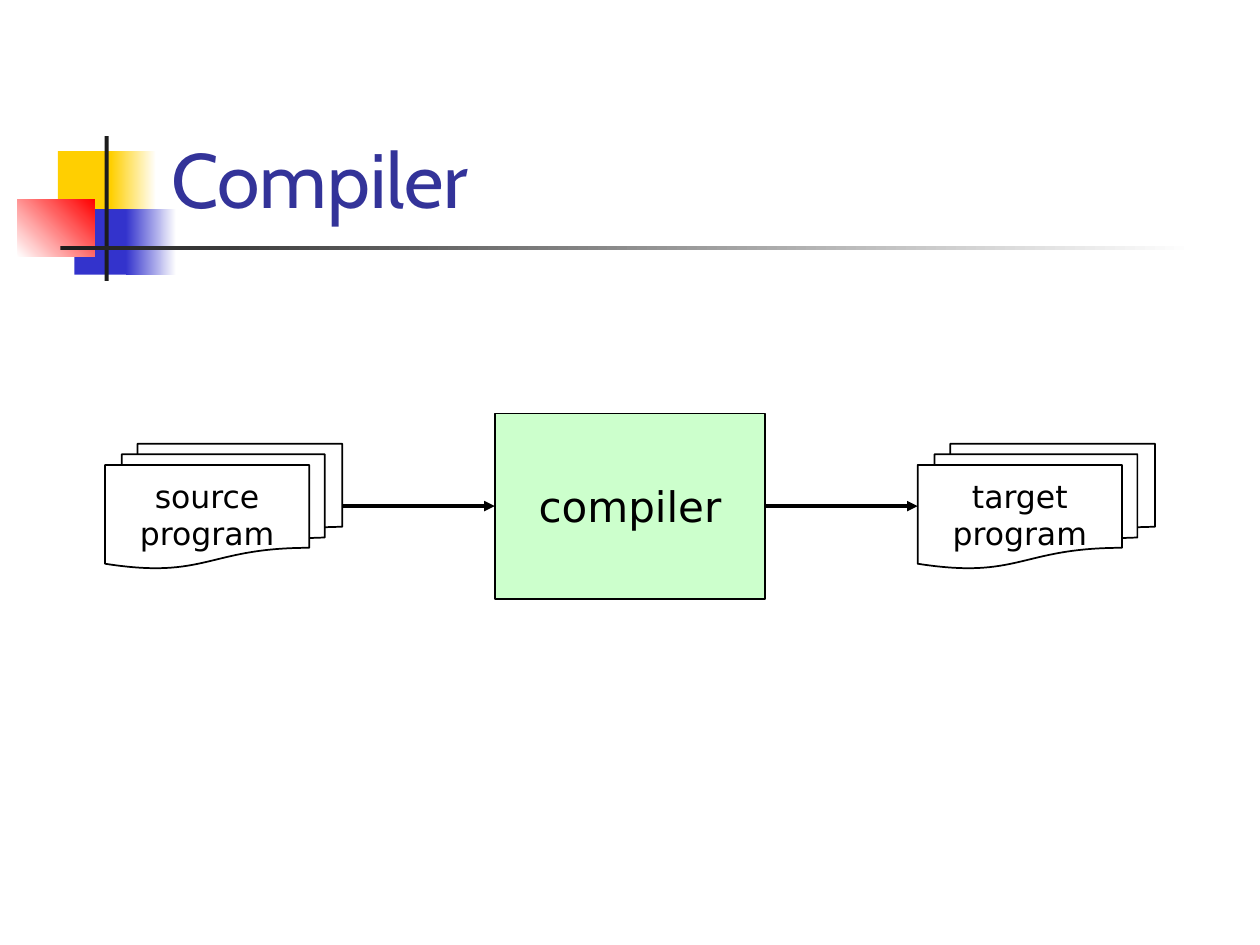
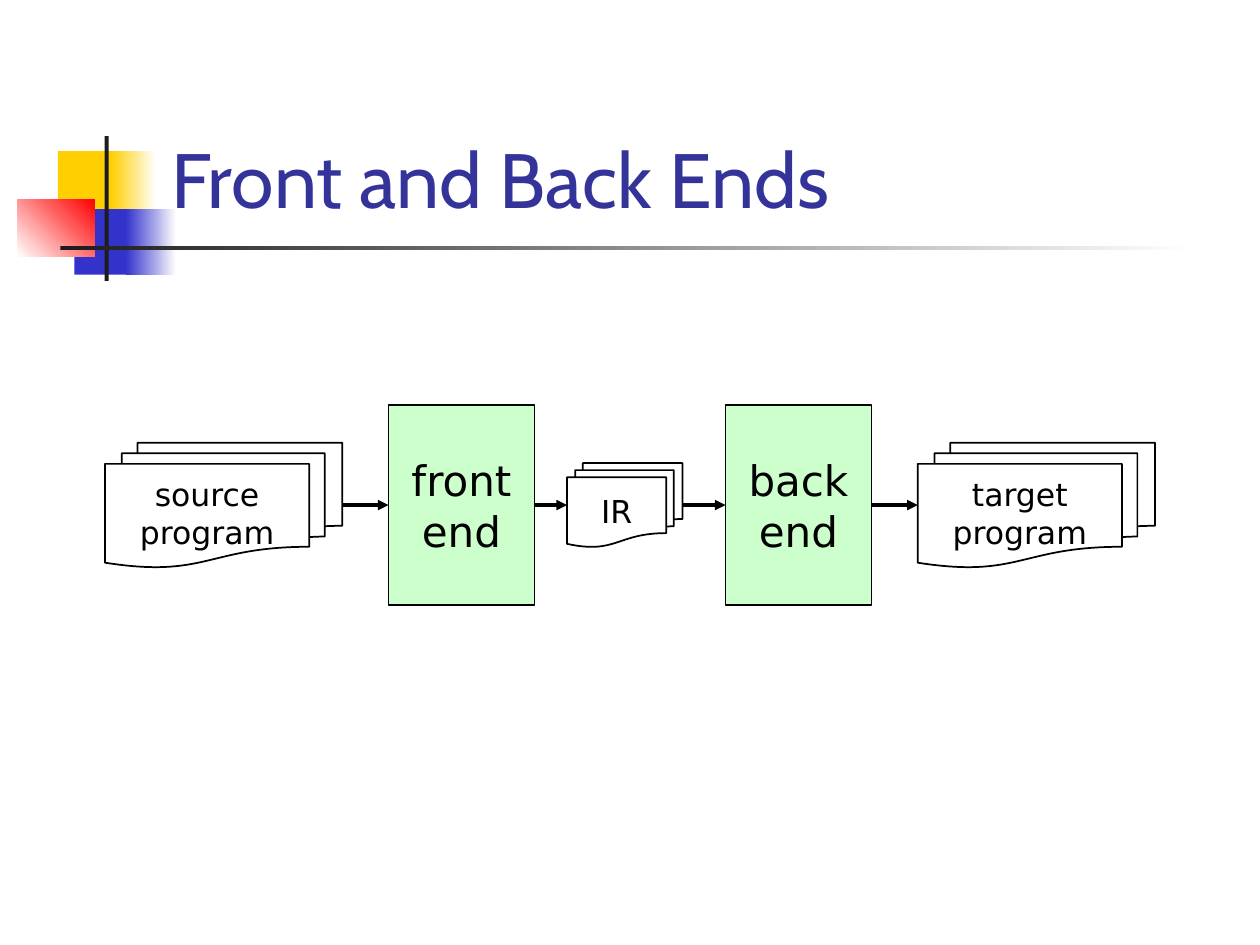
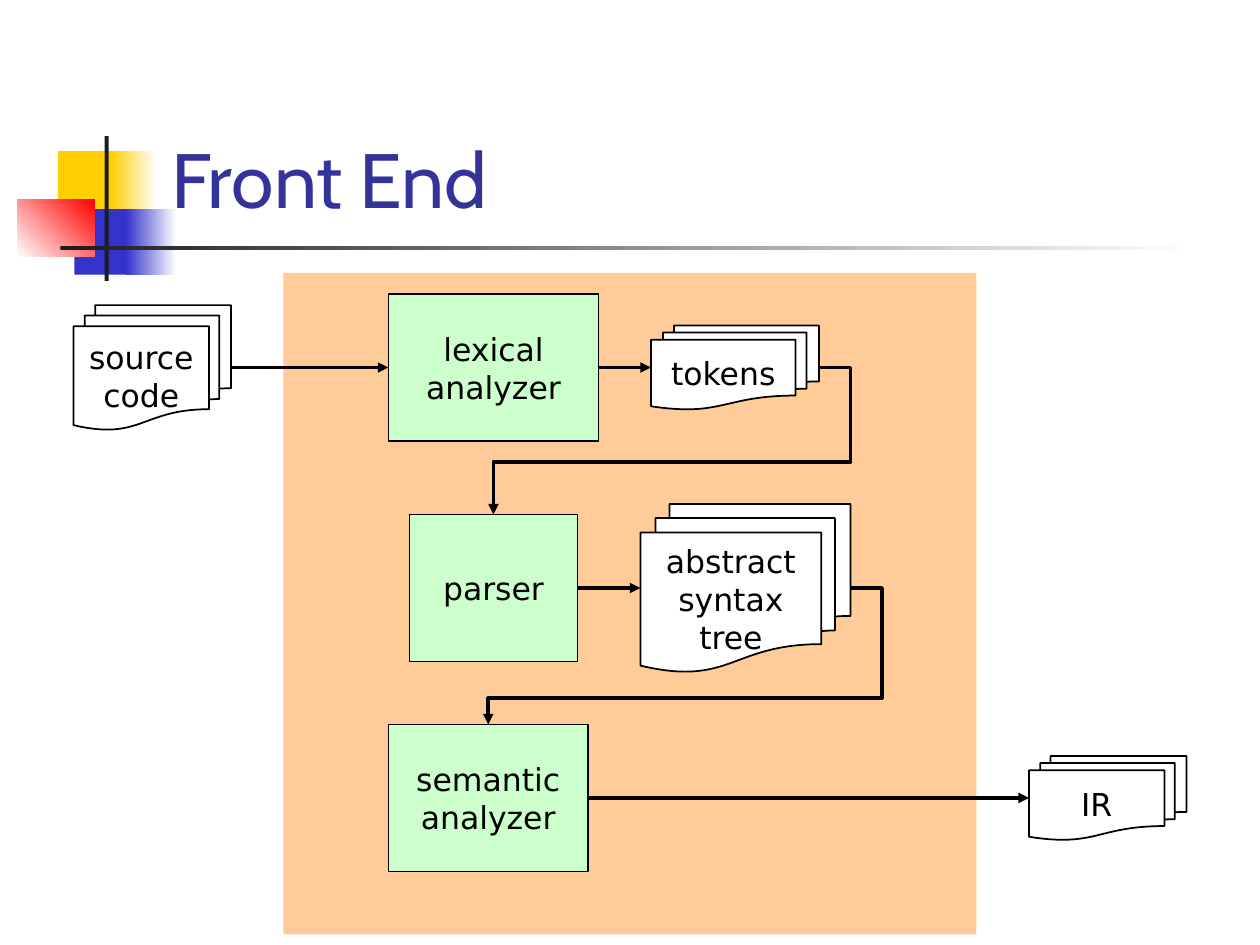
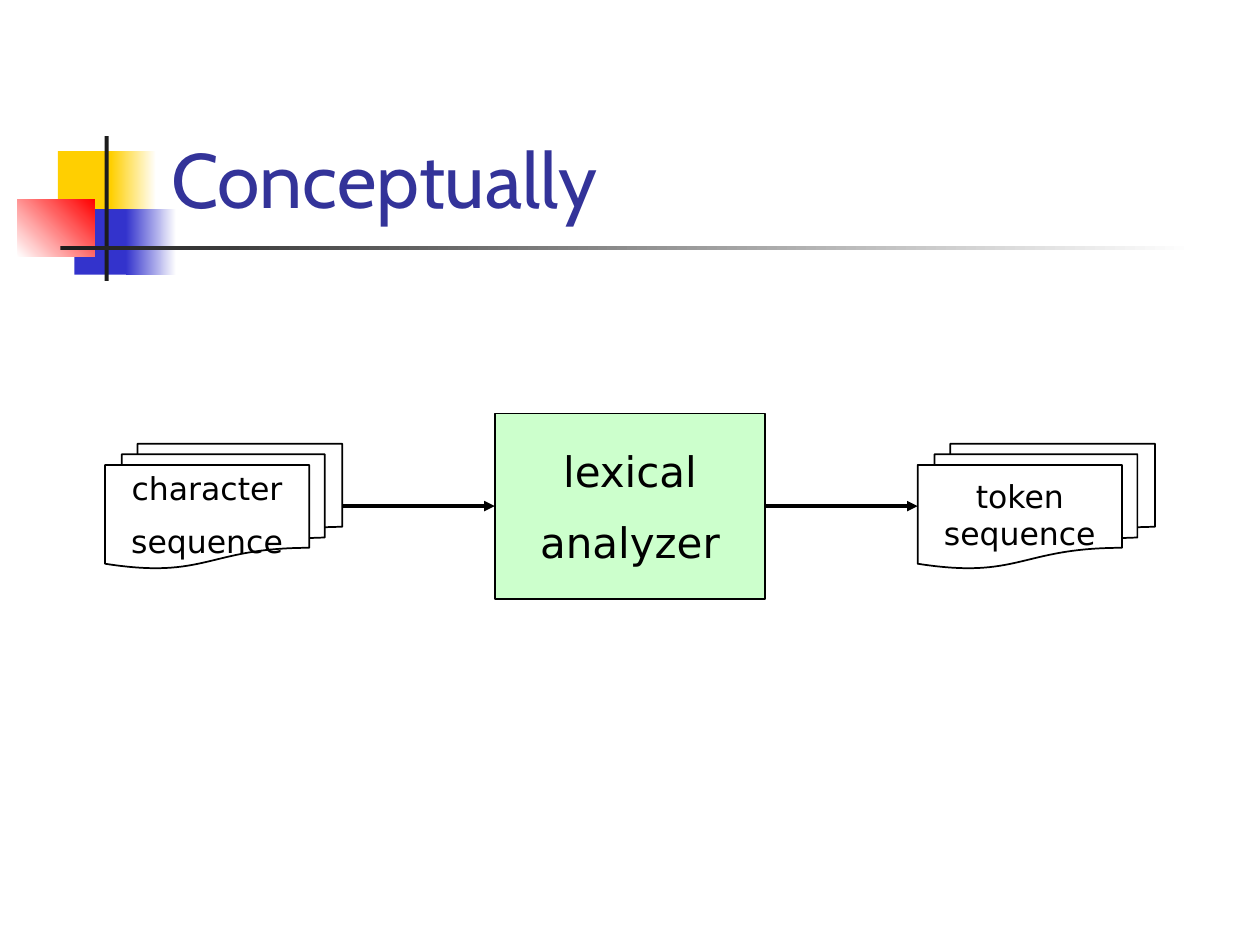
"""Build four slides on the structure of a compiler."""
from dataclasses import dataclass
from typing import Any, NamedTuple, Optional

from lxml.etree import SubElement
from pptx import Presentation
from pptx.dml.color import RGBColor as Rgb
from pptx.enum.shapes import MSO_CONNECTOR as Wire, MSO_SHAPE as Preset
from pptx.enum.text import MSO_ANCHOR as Anchor, PP_ALIGN as Align
from pptx.oxml.ns import qn
from pptx.util import Inches, Pt

COLUMNS, ROWS = 120, 90
WIDTH, HEIGHT = Inches(10), Inches(7.5)


@dataclass(frozen=True)
class Theme:
    """Colours, fonts and sizes that all slides share."""
    title: Rgb = Rgb.from_string("333399")
    ink: Rgb = Rgb.from_string("000000")
    paper: Rgb = Rgb.from_string("FFFFFF")
    bar: Rgb = Rgb.from_string("1C1C1C")
    yellow: Rgb = Rgb.from_string("FFCF01")
    blue: Rgb = Rgb.from_string("3333CC")
    red: Rgb = Rgb.from_string("FF0000")
    stage: Rgb = Rgb.from_string("CCFFCC")
    backdrop: Rgb = Rgb.from_string("FFCC99")
    title_font: str = "Cabin"
    body_font: str = "DejaVu Sans"
    title_size: int = 44
    large: int = 24
    normal: int = 18
    outline: float = 1
    arrow: float = 2


THEME = Theme()


class Area(NamedTuple):
    """A rectangle in grid columns and rows."""
    left: float
    top: float
    width: float
    height: float

    @property
    def right(self) -> float:
        """Return the right edge."""
        return self.left + self.width

    @property
    def center(self) -> float:
        """Return the horizontal centre."""
        return self.left + self.width / 2

    @property
    def middle(self) -> float:
        """Return the vertical centre."""
        return self.top + self.height / 2


@dataclass(frozen=True)
class Block:
    """A plain rectangle, fading to a second colour if there is one."""
    area: Area
    color: Rgb
    fade: Optional[Rgb] = None
    angle: float = 0


@dataclass(frozen=True)
class Node:
    """A labelled shape of a diagram."""
    label: str
    area: Area
    preset: Preset
    fill: Optional[Rgb]
    size: int


@dataclass(frozen=True)
class Link:
    """An arrow between two nodes, bent by way of a shelf row if given."""
    start: str
    end: str
    shelf: Optional[float] = None


@dataclass(frozen=True)
class Diagram:
    """The content of one slide."""
    title: str
    nodes: list[Node]
    links: list[Link]
    backdrop: Optional[Block] = None


DETOUR = 3
TITLE_AREA = Area(15.12, 2.76, 102.24, 19.2)
ORNAMENT = [
    Block(Area(5.52, 14.4, 5.76, 6.24), THEME.yellow),
    Block(Area(10.56, 14.4, 4.32, 6.24), THEME.yellow, THEME.paper),
    Block(Area(7.08, 19.92, 5.52, 6.24), THEME.blue),
    Block(Area(12, 19.92, 4.8, 6.24), THEME.blue, THEME.paper),
    Block(Area(1.68, 18.96, 7.32, 5.52), THEME.paper, THEME.red, 45),
    Block(Area(9.96, 12.96, 0.4, 13.8), THEME.bar),
    Block(Area(5.76, 23.4, 108, 0.4), THEME.bar, THEME.paper),
]


def column(count: float) -> int:
    """Turn grid columns into a length."""
    return round(WIDTH * count / COLUMNS)


def row(count: float) -> int:
    """Turn grid rows into a length."""
    return round(HEIGHT * count / ROWS)


def place(area: Area) -> tuple[int, int, int, int]:
    """Turn an area into left, top, width and height."""
    return column(area.left), row(area.top), column(area.width), row(area.height)


def apply(target: Any, values: dict[str, Any]) -> None:
    """Set each format value on the target."""
    for name, value in values.items():
        setattr(target, name, value)


def write(shape: Any, text: str, anchor: Anchor, align: Align, font: dict[str, Any], color: Rgb) -> None:
    """Write one paragraph for each line of the text."""
    frame = shape.text_frame
    apply(frame, {"word_wrap": True, "vertical_anchor": anchor})
    for index, line in enumerate(text.split("\n")):
        para = frame.add_paragraph() if index else frame.paragraphs[0]
        para.alignment = align
        if index:
            para.space_before = font["size"] // 2
        span = para.add_run()
        span.text = line
        apply(span.font, font)
        span.font.color.rgb = color


def draw_block(page: Any, block: Block) -> None:
    """Draw a plain or fading rectangle without outline."""
    shape = page.shapes.add_shape(Preset.RECTANGLE, *place(block.area))
    shape.shadow.inherit = False
    shape.line.fill.background()
    if block.fade is None:
        shape.fill.solid()
        shape.fill.fore_color.rgb = block.color
        return
    shape.fill.gradient()
    shape.fill.gradient_angle = block.angle
    for stop, color in zip(shape.fill.gradient_stops, (block.color, block.fade)):
        stop.color.rgb = color


def draw_node(page: Any, node: Node) -> None:
    """Draw a labelled diagram shape."""
    shape = page.shapes.add_shape(node.preset, *place(node.area))
    shape.shadow.inherit = False
    if node.fill is None:
        shape.fill.background()
    else:
        shape.fill.solid()
        shape.fill.fore_color.rgb = node.fill
    shape.line.color.rgb = THEME.ink
    shape.line.width = Pt(THEME.outline)
    font = {"name": THEME.body_font, "size": Pt(node.size)}
    write(shape, node.label, Anchor.MIDDLE, Align.CENTER, font, THEME.ink)


def bend(wire: Any, start: Area, end: Area, shelf: float) -> None:
    """Lead an elbow out to the right and back along the shelf row."""
    geometry = wire._element.spPr.find(qn("a:prstGeom"))
    geometry.set("prst", "bentConnector4")
    guides = geometry.find(qn("a:avLst"))
    if guides is None:
        guides = SubElement(geometry, qn("a:avLst"))
    shares = (-DETOUR / (start.right - end.center),
              (shelf - start.middle) / (end.top - start.middle))
    for index, share in enumerate(shares, 1):
        SubElement(guides, qn("a:gd"), name=f"adj{index}", fmla=f"val {round(share * 100000)}")


def draw_link(page: Any, link: Link, areas: dict[str, Area]) -> None:
    """Draw an arrow from one node to another."""
    start, end = areas[link.start], areas[link.end]
    bent = link.shelf is not None
    kind = Wire.ELBOW if bent else Wire.STRAIGHT
    tip = (end.center, end.top) if bent else (end.left, end.middle)
    wire = page.shapes.add_connector(
        kind, column(start.right), row(start.middle), column(tip[0]), row(tip[1]))
    if bent:
        bend(wire, start, end, link.shelf)
    wire.line.color.rgb = THEME.ink
    wire.line.width = Pt(THEME.arrow)
    SubElement(wire.line._get_or_add_ln(), qn("a:tailEnd"), type="triangle")
    SubElement(wire._element.spPr, qn("a:effectLst"))


def draw_title(page: Any, title: str) -> None:
    """Draw the ornament and the slide title."""
    for block in ORNAMENT:
        draw_block(page, block)
    box = page.shapes.add_textbox(*place(TITLE_AREA))
    font = {"name": THEME.title_font, "size": Pt(THEME.title_size)}
    write(box, title, Anchor.BOTTOM, Align.LEFT, font, THEME.title)


def draw_diagram(deck: Any, diagram: Diagram) -> None:
    """Add one slide with its title, shapes and arrows."""
    page = deck.slides.add_slide(deck.slide_layouts[6])
    draw_title(page, diagram.title)
    if diagram.backdrop:
        draw_block(page, diagram.backdrop)
    for node in diagram.nodes:
        draw_node(page, node)
    areas = {node.label: node.area for node in diagram.nodes}
    for link in diagram.links:
        draw_link(page, link, areas)


def papers(label: str, area: Area, fill: Optional[Rgb] = None) -> Node:
    """Describe a stack of documents."""
    return Node(label, area, Preset.FLOWCHART_MULTIDOCUMENT, fill, THEME.normal)


def stage(label: str, area: Area, size: int = THEME.large) -> Node:
    """Describe a processing stage."""
    return Node(label, area, Preset.FLOWCHART_PROCESS, THEME.stage, size)


def centered(left: float, axis: float, width: float, height: float) -> Area:
    """Return an area centred on a row."""
    return Area(left, axis - height / 2, width, height)


def pipeline(title: str, source: str, inner: list[Node], target: str, axis: float) -> Diagram:
    """Describe a row of nodes from source to target, each linked to the next."""
    margin, width, height = 10, 22.6, 11.88
    nodes = [papers(source, centered(margin, axis, width, height)), *inner,
             papers(target, centered(COLUMNS - margin - width, axis, width, height))]
    links = [Link(a.label, b.label) for a, b in zip(nodes, nodes[1:])]
    return Diagram(title, nodes, links)


def single_stage(title: str, source: str, label: str, target: str) -> Diagram:
    """Describe a pipeline with one stage in the middle of the slide."""
    axis, width = 48.2, 25.76
    box = stage(label, centered((COLUMNS - width) / 2, axis, width, 17.64))
    return pipeline(title, source, [box], target, axis)


def two_ends() -> Diagram:
    """Describe the pipeline through the front and back ends."""
    axis, width, height = 48.1, 13.9, 19
    inner = [stage("front end", centered(37, axis, width, height)),
             papers("IR", centered(54, axis, 11, 8)),
             stage("back end", centered(COLUMNS - 37 - width, axis, width, height))]
    return pipeline("Front and Back Ends", "source program", inner, "target program", axis)


def front_end() -> Diagram:
    """Describe the stages inside the front end."""
    nodes = [
        papers("source code", centered(7, 35, 15, 11.88)),
        stage("lexical analyzer", centered(37, 35, 20, 14), THEME.normal),
        papers("tokens", centered(62, 35, 16, 8), THEME.paper),
        stage("parser", centered(39, 56, 16, 14), THEME.normal),
        papers("abstract syntax tree", centered(61, 56, 20, 16), THEME.paper),
        stage("semantic analyzer", centered(37, 76, 19, 14), THEME.normal),
        papers("IR", centered(98, 76, 15, 8), THEME.paper),
    ]
    shelves = {"tokens": 44, "abstract syntax tree": 66.5}
    links = [Link(a.label, b.label, shelves.get(a.label)) for a, b in zip(nodes, nodes[1:])]
    return Diagram("Front End", nodes, links, Block(Area(27, 26, 66, 63), THEME.backdrop))


def main() -> None:
    """Build and save the deck."""
    deck = Presentation()
    apply(deck, {"slide_width": WIDTH, "slide_height": HEIGHT})
    diagrams = [
        single_stage("Compiler", "source program", "compiler", "target program"),
        two_ends(),
        front_end(),
        single_stage("Conceptually", "character\nsequence", "lexical\nanalyzer", "token sequence"),
    ]
    for diagram in diagrams:
        draw_diagram(deck, diagram)
    deck.save("out.pptx")


if __name__ == "__main__":
    main()
